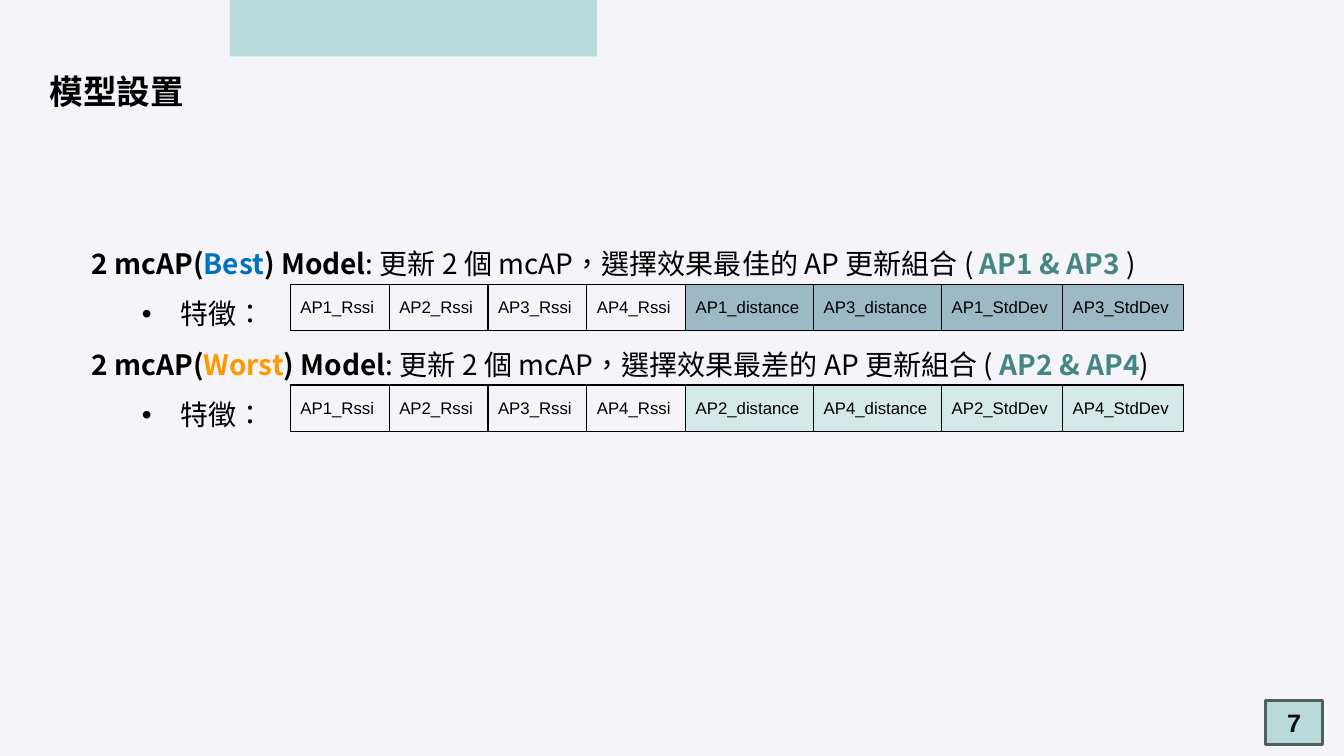
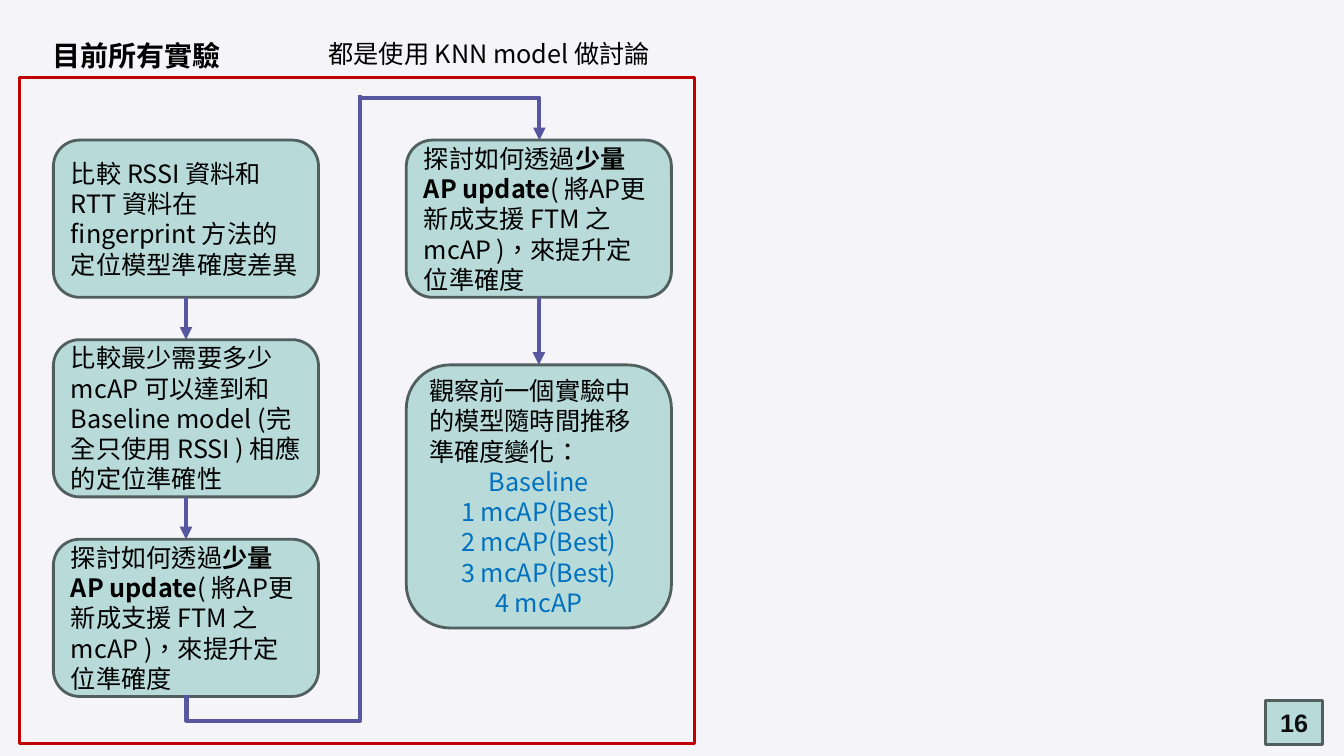
from pptx import Presentation
from pptx.dml.color import RGBColor
from pptx.enum import shapes, text
from pptx.oxml import ns, xmlchemy
from pptx.util import Inches, Pt
from lxml import etree

CJK, LATIN = "Noto Sans CJK SC", "Arial"
BLACK, BLUE, ORANGE, TEAL = "000000", "0070C0", "FF9900", "448682"
PAPER, MINT, SLATE, VIOLET, RED = "F4F4F9", "B8DBD9", "51605F", "57579F", "C00000"
STEEL, PALE, INK = "9EB9C6", "D4E9E8", "0D0D0D"
LEADING = 1.2


def rgb(value):
    return RGBColor.from_string(value)


def sub(parent, tag, **attrs):
    return etree.SubElement(parent, ns.qn(tag), **attrs)


def add_run(p, words, size, color=BLACK, bold=False, font=CJK):
    r = p.add_run()
    r.text = words
    r.font.size, r.font.bold, r.font.name = Pt(size), bold, font
    r.font.color.rgb = rgb(color)
    if font == CJK:
        rPr = r.font._element
        rPr.set("lang", "zh-TW")
        sub(rPr, "a:ea", typeface=font)


def write(tf, paragraphs, size, font=CJK, spacing=LEADING):
    tf.word_wrap = True
    for i, (align, bulleted, runs) in enumerate(paragraphs):
        p = tf.add_paragraph() if i else tf.paragraphs[0]
        if bulleted:
            pPr = p._p.get_or_add_pPr()
            pPr.set("marL", str(Inches(0.88)))
            pPr.set("indent", str(Inches(-0.38)))
            sub(pPr, "a:buFont", typeface=LATIN)
            sub(pPr, "a:buChar", char="•")
        p.alignment = align
        p.line_spacing = Pt(size * spacing)
        for run in runs:
            add_run(p, run[0], size, *run[1:], font=font)


def left(*runs):
    return text.PP_ALIGN.LEFT, False, runs


def center(*runs):
    return text.PP_ALIGN.CENTER, False, runs


def bullet(*runs):
    return text.PP_ALIGN.LEFT, True, runs


def add_box(s, kind, box, fill=None, line=None):
    sp = s.shapes.add_shape(kind, *map(Inches, box))
    sp.shadow.inherit = False
    if fill:
        sp.fill.solid()
        sp.fill.fore_color.rgb = rgb(fill)
    else:
        sp.fill.background()
    if line:
        sp.line.color.rgb = rgb(line)
        sp.line.width = Pt(2)
    else:
        sp.line.fill.background()
    sp.text_frame.vertical_anchor = text.MSO_ANCHOR.MIDDLE
    return sp


def add_text(s, box, paragraphs, size, spacing=LEADING):
    tf = s.shapes.add_textbox(*map(Inches, box)).text_frame
    write(tf, paragraphs, size, spacing=spacing)


def add_slide(prs, title, box, size, number):
    s = prs.slides.add_slide(prs.slide_layouts[5])
    sp = s.shapes.title
    sp.left, sp.top, sp.width, sp.height = map(Inches, box)
    tf = sp.text_frame
    tf.auto_size = text.MSO_AUTO_SIZE.NONE
    tf.vertical_anchor = text.MSO_ANCHOR.TOP
    write(tf, [left((title, BLACK, True))], size)
    badge = add_box(s, shapes.MSO_SHAPE.RECTANGLE, (12.55, 6.95, 0.57, 0.44), MINT, SLATE)
    write(badge.text_frame, [center((number, INK, True))], 18, LATIN)
    return s


def add_features(s, x, y, names, fill):
    widths = [0.98] * 4 + [1.27] * 2 + [1.2] * 2
    frame = s.shapes.add_table(1, len(names), *map(Inches, (x, y, sum(widths), 0.46)))
    table = frame.table
    table.first_row = table.horz_banding = False
    for i, (name, width) in enumerate(zip(names, widths)):
        table.columns[i].width = Inches(width)
        cell = table.cell(0, i)
        cell.vertical_anchor = text.MSO_ANCHOR.MIDDLE
        add_run(cell.text_frame.paragraphs[0], name, 12, font=LATIN)
        tcPr = cell._tc.get_or_add_tcPr()
        for side in "LRTB":
            ln = sub(tcPr, "a:ln" + side, w=str(Pt(1)))
            sub(sub(ln, "a:solidFill"), "a:srgbClr", val=BLACK)
        if i < 4:
            cell.fill.background()
        else:
            cell.fill.solid()
            cell.fill.fore_color.rgb = rgb(fill)


def add_models(s, x, y, models):
    paragraphs = []
    for kind, color, effect, pair, end, _, _ in models:
        paragraphs.append(left(
            ("2 mcAP(", BLACK, True), (kind, color, True), (") Model", BLACK, True),
            (f": 更新 2 個 mcAP，選擇效果{effect}的 AP 更新組合 ( ",),
            (" & ".join(pair) + end, TEAL, True), (")",)))
        paragraphs.append(bullet(("特徵：",)))
    add_text(s, (x, y, 12.52, 2.06), paragraphs, 20, LEADING * 1.5)
    for i, (_, _, _, pair, _, fill, _) in enumerate(models):
        names = [f"AP{n}_Rssi" for n in range(1, 5)]
        names += [f"{ap}_{kind}" for kind in ("distance", "StdDev") for ap in pair]
        add_features(s, x + 2.07, y + 0.59 + i, names, fill)


def add_connector(s, kind, start, end, arrow=True):
    c = s.shapes.add_connector(kind, *map(Inches, start + end))
    c.line.color.rgb = rgb(VIOLET)
    c.line.width = Pt(3)
    if arrow:
        sub(c.line._get_or_add_ln(), "a:tailEnd", type="triangle")
    sub(c._element.spPr, "a:effectLst")
    return c


def link(s, upper, lower):
    c = add_connector(s, shapes.MSO_CONNECTOR.STRAIGHT, (0, 0), (1, 1))
    c.begin_connect(upper, 2)
    c.end_connect(lower, 0)


def add_step(s, x, y, h, paragraphs):
    sp = add_box(s, shapes.MSO_SHAPE.ROUNDED_RECTANGLE, (x, y, 2.63, h), MINT, SLATE)
    write(sp.text_frame, paragraphs, 18)
    return sp


def add_detour(s, x, y):
    elbow = shapes.MSO_CONNECTOR.ELBOW
    rise = add_connector(s, elbow, (x + 5.5, y + 4.01), (x - 0.46, y + 2.29), False)
    rise._element.spPr.find(ns.qn("a:xfrm")).set("rot", "5400000")
    geom = rise._element.spPr.find(ns.qn("a:prstGeom"))
    sub(geom.find(ns.qn("a:avLst")), "a:gd", name="adj1", fmla="val -4200")
    drop = add_connector(s, elbow, (x + 3.36, y + 0.2), (x + 5.16, y + 0.62))
    drop._element.spPr.find(ns.qn("a:prstGeom")).set("prst", "bentConnector2")


def add_experiments(s, x, y):
    update = [left(("探討如何透過",), ("少量 AP update", BLACK, True),
                   ("( 將AP更新成支援 FTM 之 mcAP )，來提升定位準確度",))]
    compare = [
        [left(("比較 RSSI 資料和 RTT 資料在 fingerprint 方法的定位模型準確度差異",))],
        [left(("比較最少需要多少 mcAP 可以達到和 Baseline model (完全只使用 RSSI ) 相應的定位準確性",))],
        update,
    ]
    models = ["Baseline", "1 mcAP(Best)", "2 mcAP(Best)", "3 mcAP(Best)", "4 mcAP"]
    observe = [left(("觀察前一個實驗中的模型隨時間推移準確度變化：",))]
    observe += [center((name, BLUE)) for name in models]
    first = [add_step(s, x + 0.34, y + 0.62 + 1.98 * i, 1.56, words)
             for i, words in enumerate(compare)]
    second = [add_step(s, x + 3.84, y + 0.62, 1.56, update),
              add_step(s, x + 3.84, y + 2.85, 2.61, observe)]
    for column in (first, second):
        for upper, lower in zip(column, column[1:]):
            link(s, upper, lower)
    add_detour(s, x, y)
    add_box(s, shapes.MSO_SHAPE.RECTANGLE, (x, y, 6.7, 6.61), line=RED)
    add_text(s, (x + 2.97, y - 0.44, 4.53, 0.4), [left(("都是使用 KNN model 做討論",))], 18)


def model_slide(prs):
    s = add_slide(prs, "模型設置", (0.39, 0.65, 9.97, 0.5), 24, "7")
    add_box(s, shapes.MSO_SHAPE.RECTANGLE, (2.28, 0, 3.64, 0.56), MINT)
    add_models(s, 0.81, 2.23, [
        ("Best", BLUE, "最佳", ("AP1", "AP3"), " ", STEEL, None),
        ("Worst", ORANGE, "最差", ("AP2", "AP4"), "", PALE, None),
    ])


def experiment_slide(prs):
    s = add_slide(prs, "目前所有實驗", (0.42, 0.33, 12.2, 0.44), 20, "16")
    add_experiments(s, 0.19, 0.77)


def main():
    prs = Presentation()
    prs.slide_width, prs.slide_height = Inches(13.33), Inches(7.5)
    fill = prs.slide_master.background.fill
    fill.solid()
    fill.fore_color.rgb = rgb(PAPER)
    model_slide(prs)
    experiment_slide(prs)
    prs.save("out.pptx")


if __name__ == "__main__":
    main()
